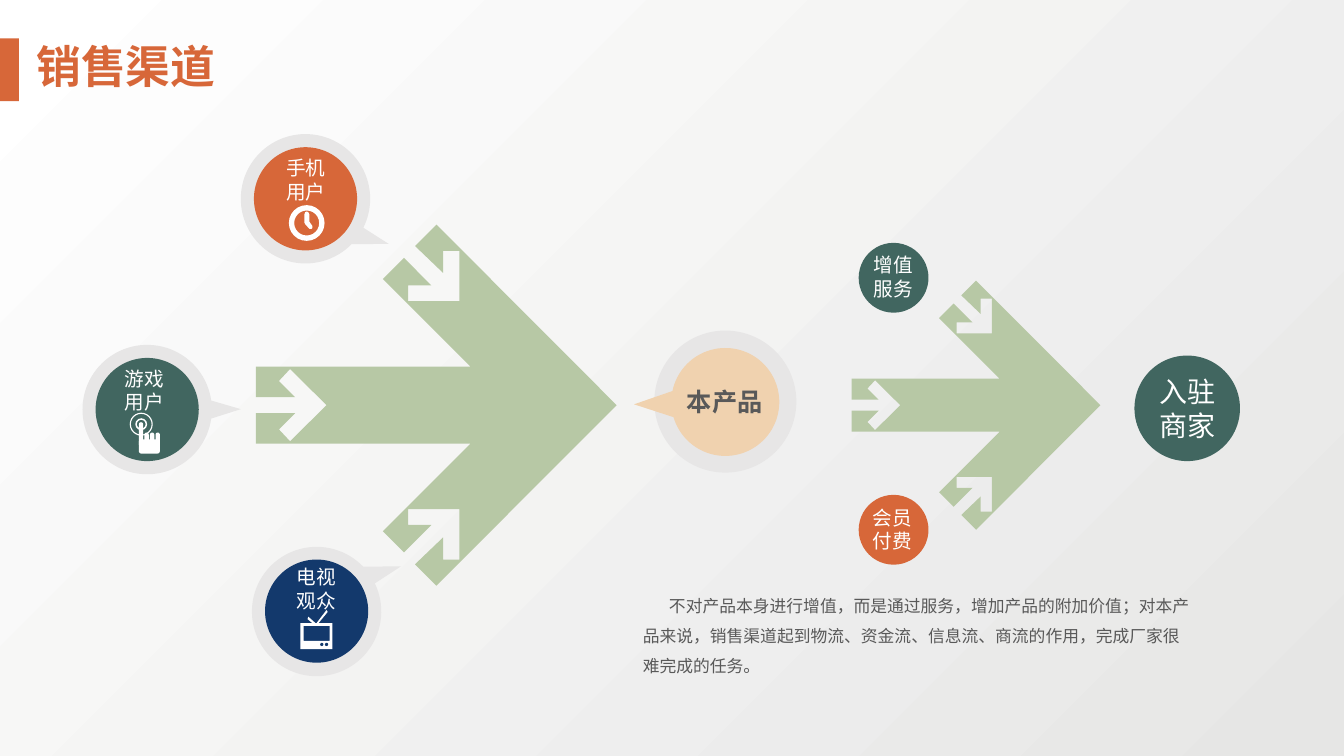
import math

import pptx
import pptx.dml.color
import pptx.enum.shapes
import pptx.enum.text
import pptx.oxml.ns
import pptx.util
from lxml import etree

Cm = pptx.util.Cm
RGB = pptx.dml.color.RGBColor
MSO = pptx.enum.shapes.MSO_SHAPE
ALIGN = pptx.enum.text.PP_ALIGN
FONT = "Noto Sans CJK SC"
COLORS = {
    "orange": "D76739", "teal": "416660", "navy": "13396C", "green": "B7C8A5",
    "peach": "F0D2AF", "ring": "E7E6E6", "white": "FFFFFF", "text": "595959",
    "shade": "E6E6E5",
}

prs = pptx.Presentation()
prs.slide_width, prs.slide_height = Cm(33.87), Cm(19.05)
s = prs.slides.add_slide(prs.slide_layouts[6])

bg = s.background.fill
bg.gradient()
bg.gradient_angle = 135
for stop, position, color in zip(bg.gradient_stops, (0, 1), ("shade", "white")):
    stop.position = position
    stop.color.rgb = RGB.from_string(COLORS[color])


def add_preset(kind, x, y, w, h, color):
    sp = s.shapes.add_shape(kind, Cm(x), Cm(y), Cm(w), Cm(h))
    sp.shadow.inherit = False
    sp.fill.solid()
    sp.fill.fore_color.rgb = RGB.from_string(COLORS[color])
    sp.line.fill.background()
    return sp


def add_outline(contours, color):
    contours = [[(Cm(x), Cm(y)) for x, y in c] for c in contours]
    fb = s.shapes.build_freeform(*contours[0][0], scale=1.0)
    fb.add_line_segments(contours[0][1:], close=True)
    for c in contours[1:]:
        fb.move_to(*c[0])
        fb.add_line_segments(c[1:], close=True)
    sp = fb.convert_to_shape()
    sp.shadow.inherit = False
    sp.fill.solid()
    sp.fill.fore_color.rgb = RGB.from_string(COLORS[color])
    sp.line.fill.background()


add_preset(MSO.RECTANGLE, 0, 0.97, 0.48, 1.58, "orange")

half_arrow = [
    (9.09, 0), (4.55, 4.55), (4.01, 4.01), (4.72, 3.33), (4.72, 3.89),
    (5.13, 3.89), (5.13, 2.62), (3.84, 2.62), (3.84, 3.02), (4.42, 3.02),
    (3.73, 3.71), (3.2, 3.18), (5.41, 0.97), (0, 0.97), (0, 0.2),
    (0.99, 0.2), (0.58, 0.61), (0.86, 0.91), (1.78, 0),
]
arrow = half_arrow + [(x, -y) for x, y in half_arrow[-2:0:-1]]
for left, scale in ((6.45, 1), (21.46, 0.69)):
    add_outline([[(left + x * scale, 10.21 + y * scale) for x, y in arrow]], "green")

add_preset(MSO.OVAL, 16.49, 8.33, 3.58, 3.58, "ring")
bubbles = [
    (7.7, 5.01, 1.63, (9.8, 6.15), 44.4, 26.6, "ring"),
    (3.71, 10.32, 1.63, (6.07, 10.31), 8, -8, "ring"),
    (7.98, 15.41, 1.63, (10.11, 14.27), -25.8, -43.8, "ring"),
    (18.28, 10.13, 1.36, (15.98, 10.19), 191.7, 163.6, "peach"),
]
for x, y, radius, tip, start, end, color in bubbles:
    steps = 90
    sweep = 360 + end - start
    angles = [math.radians(start + sweep * i / steps) for i in range(steps + 1)]
    arc = [(x + radius * math.cos(a), y + radius * math.sin(a)) for a in angles]
    add_outline([[tip] + arc], color)

discs = [
    (7.7, 5.01, 1.3, "orange"), (3.71, 10.32, 1.3, "teal"),
    (7.98, 15.4, 1.3, "navy"), (22.52, 13.35, 0.88, "orange"),
    (22.52, 7, 0.88, "teal"), (29.92, 10.29, 1.33, "teal"),
]
for x, y, radius, color in discs:
    add_preset(MSO.OVAL, x - radius, y - radius, 2 * radius, 2 * radius, color)

icon_rings = [(7.73, 5.62, 0.45, 0.15), (3.56, 10.69, 0.15, 0.13), (3.56, 10.69, 0.29, 0.05)]
for x, y, radius, thickness in icon_rings:
    sp = add_preset(MSO.DONUT, x - radius, y - radius, 2 * radius, 2 * radius, "white")
    sp.adjustments[0] = thickness

clock_hands = [
    (7.85, 5.77), (7.8, 5.77), (7.7, 5.66), (7.67, 5.61), (7.67, 5.41), (7.69, 5.35),
    (7.73, 5.33), (7.77, 5.35), (7.8, 5.41), (7.8, 5.59), (7.87, 5.69), (7.87, 5.75),
]
add_outline([clock_hands], "white")

for i, top in enumerate((10.64, 10.9, 10.9, 10.9)):
    sp = add_preset(MSO.ROUNDED_RECTANGLE, 3.5 + 0.14 * i, top, 0.11, 11.25 - top, "white")
    sp.adjustments[0] = 0.5
add_preset(MSO.ROUNDED_RECTANGLE, 3.5, 11.07, 0.53, 0.36, "white")

tv_case = [
    (8.03, 15.7), (8.26, 15.42), (8.23, 15.37), (7.98, 15.7), (7.95, 15.7),
    (7.77, 15.54), (7.75, 15.6), (7.87, 15.7), (7.57, 15.7), (7.57, 16.36),
    (8.38, 16.36), (8.38, 15.7),
]
tv_screen = [(7.65, 15.77), (7.65, 16.15), (8.31, 16.15), (8.31, 15.77)]
add_outline([tv_case, tv_screen], "white")
for x in (8.07, 8.19):
    add_preset(MSO.OVAL, x, 16.2, 0.08, 0.08, "navy")

body = "不对产品本身进行增值，而是通过服务，增加产品的附加价值；对本产品来说，销售渠道起到物流、资金流、信息流、商流的作用，完成厂家很难完成的任务。"
label = {"size": 14, "color": "white"}
texts = [
    (0.05, 0.86, 6.25, 1.63, ["销售渠道"], {"size": 32, "color": "orange", "bold": True}),
    (6.65, 3.81, 2.11, 1.45, ["手机", "用户"], label),
    (2.59, 9.12, 2.11, 1.45, ["游戏", "用户"], label),
    (6.91, 14.12, 2.11, 1.45, ["电视", "观众"], label),
    (17.02, 9.6, 2.49, 1.02, ["本产品"], {"size": 18, "color": "text", "bold": True}),
    (15.95, 14.63, 14.3, 2.57, [body], {"size": 12, "color": "text"}),
    (21.46, 6.25, 2.11, 1.45, ["增值", "服务"], label),
    (21.44, 12.62, 2.11, 1.45, ["会员", "付费"], label),
    (28.88, 9.32, 2.11, 1.96, ["入驻", "商家"], {"size": 20, "color": "white"}),
]
for x, y, w, h, lines, style in texts:
    tf = s.shapes.add_textbox(Cm(x), Cm(y), Cm(w), Cm(h)).text_frame
    tf.word_wrap = True
    for i, line in enumerate(lines):
        p = tf.add_paragraph() if i else tf.paragraphs[0]
        p.alignment = ALIGN.CENTER
        if line == body:
            p.alignment = ALIGN.LEFT
            p.line_spacing = 1.5
            p._p.get_or_add_pPr().set("indent", str(Cm(0.66)))
        r = p.add_run()
        r.text = line
        font = {"name": FONT, "size": pptx.util.Pt(style["size"]), "bold": style.get("bold", False)}
        for name, value in font.items():
            setattr(r.font, name, value)
        r.font.color.rgb = RGB.from_string(COLORS[style["color"]])
        etree.SubElement(r._r.get_or_add_rPr(), pptx.oxml.ns.qn("a:ea"), typeface=FONT)

prs.save("out.pptx")
